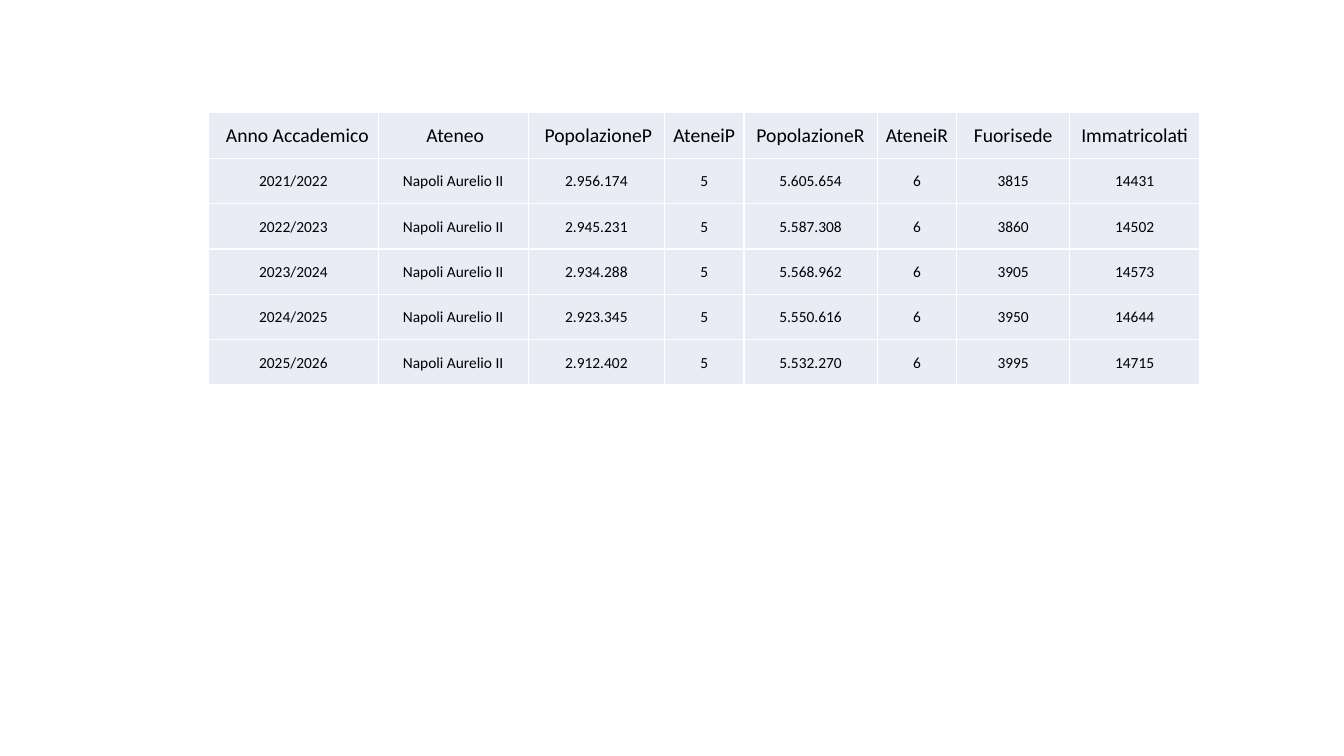
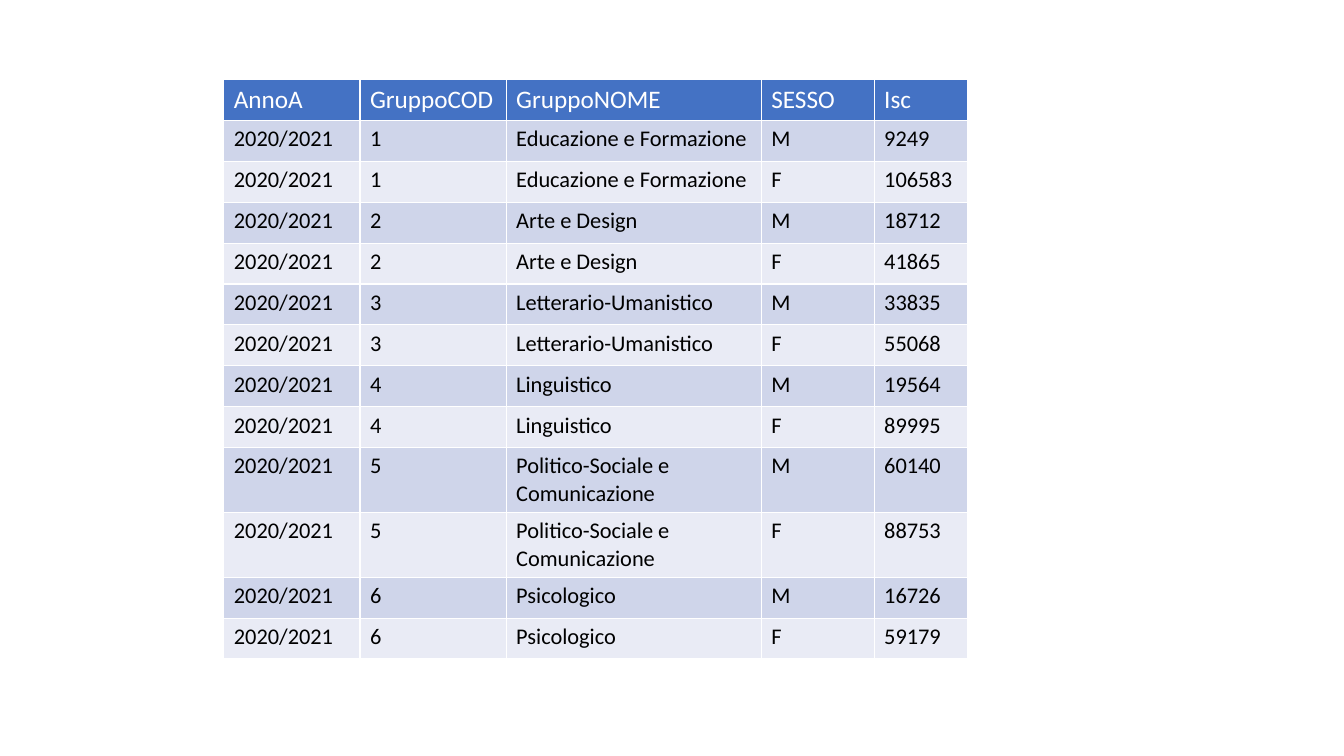
import pptx
import pptx.dml.color
import pptx.enum.text
import pptx.util

SLIDE_WIDTH, SLIDE_HEIGHT = 13.33, 7.5
FONT = "Calibri"
BLACK, WHITE = "000000", "FFFFFF"
HEADER_BLUE, BAND_DARK, BAND_LIGHT = "4472C4", "CFD5EA", "E9EBF5"
SPACE_WIDTH = 0.04  # inches, at header size

UNIVERSITY = "Napoli Aurelio II"
FORECAST_HEADER = ["Anno Accademico", "Ateneo", "PopolazioneP", "AteneiP",
                   "PopolazioneR", "AteneiR", "Fuorisede", "Immatricolati"]
FORECAST_WIDTHS = [1.68, 1.49, 1.35, 0.79, 1.32, 0.79, 1.12, 1.29]
FORECAST_INDENTS = {0: 2 * SPACE_WIDTH, 1: SPACE_WIDTH, 2: SPACE_WIDTH}
# year, province population, region population, non-resident, enrolled
FORECASTS = [
    ("2021/2022", "2.956.174", "5.605.654", "3815", "14431"),
    ("2022/2023", "2.945.231", "5.587.308", "3860", "14502"),
    ("2023/2024", "2.934.288", "5.568.962", "3905", "14573"),
    ("2024/2025", "2.923.345", "5.550.616", "3950", "14644"),
    ("2025/2026", "2.912.402", "5.532.270", "3995", "14715"),
]

GROUP_YEAR = "2020/2021"
GROUP_HEADER = ["AnnoA", "GruppoCOD", "GruppoNOME", "SESSO", "Isc"]
GROUP_WIDTHS = [1.35, 1.45, 2.53, 1.12, 0.93]
# group name, men, women
GROUPS = [
    ("Educazione e Formazione", "9249", "106583"),
    ("Arte e Design", "18712", "41865"),
    ("Letterario-Umanistico", "33835", "55068"),
    ("Linguistico", "19564", "89995"),
    ("Politico-Sociale e Comunicazione", "60140", "88753"),
    ("Psicologico", "16726", "59179"),
]


def rgb(value):
    return pptx.dml.color.RGBColor.from_string(value)


def fill_cell(cell, text, size, color, fill):
    cell.text = text
    cell.fill.solid()
    cell.fill.fore_color.rgb = rgb(fill)
    font = cell.text_frame.paragraphs[0].font
    font.name = FONT
    font.size = pptx.util.Pt(size)
    font.bold = False
    font.color.rgb = rgb(color)


def center_cell(cell, indent=0):
    """Centre the text between thin margins, shifted right by the indent."""
    thin = pptx.util.Inches(0.01)
    cell.margin_left = thin + pptx.util.Inches(indent)
    cell.margin_right = cell.margin_top = thin
    cell.margin_bottom = 0
    cell.vertical_anchor = pptx.enum.text.MSO_ANCHOR.MIDDLE
    cell.text_frame.paragraphs[0].alignment = pptx.enum.text.PP_ALIGN.CENTER


def add_data_table(slide, left, top, widths, row_height, rows, sizes,
                   header_style, bands):
    """Sizes are (header, body) points; header_style is (text, fill) colours."""
    frame = slide.shapes.add_table(
        len(rows), len(widths), pptx.util.Inches(left), pptx.util.Inches(top),
        pptx.util.Inches(sum(widths)), row_height * len(rows))
    table = frame.table
    table.first_row = header_style[1] not in bands
    table.horz_banding = len(bands) > 1
    for column, width in zip(table.columns, widths):
        column.width = pptx.util.Inches(width)
    for r, values in enumerate(rows):
        table.rows[r].height = row_height
        if r == 0:
            size, (color, fill) = sizes[0], header_style
        else:
            size, color, fill = sizes[1], BLACK, bands[(r - 1) % len(bands)]
        for c, text in enumerate(values):
            fill_cell(table.cell(r, c), text, size, color, fill)
    return table


def add_forecast_slide(prs):
    slide = prs.slides.add_slide(prs.slide_layouts[6])
    rows = [FORECAST_HEADER] + [
        [year, UNIVERSITY, province, "5", region, "6", nonresident, enrolled]
        for year, province, region, nonresident, enrolled in FORECASTS]
    table = add_data_table(slide, 2.07, 1.12, FORECAST_WIDTHS,
                           pptx.util.Inches(0.45), rows, (14, 11),
                           (BLACK, BAND_LIGHT), [BAND_LIGHT])
    for r in range(len(rows)):
        for c in range(len(FORECAST_WIDTHS)):
            indent = FORECAST_INDENTS.get(c, 0) if r == 0 else 0
            center_cell(table.cell(r, c), indent)


def add_group_slide(prs):
    slide = prs.slides.add_slide(prs.slide_layouts[6])
    rows = [GROUP_HEADER] + [
        [GROUP_YEAR, str(code), name, sex, count]
        for code, (name, men, women) in enumerate(GROUPS, start=1)
        for sex, count in (("M", men), ("F", women))]
    add_data_table(slide, 2.22, 0.79, GROUP_WIDTHS, pptx.util.Pt(29.2), rows,
                   (18, 16), (WHITE, HEADER_BLUE), [BAND_DARK, BAND_LIGHT])


def main():
    prs = pptx.Presentation()
    prs.slide_width = pptx.util.Inches(SLIDE_WIDTH)
    prs.slide_height = pptx.util.Inches(SLIDE_HEIGHT)
    add_forecast_slide(prs)
    add_group_slide(prs)
    prs.save("out.pptx")


if __name__ == "__main__":
    main()
